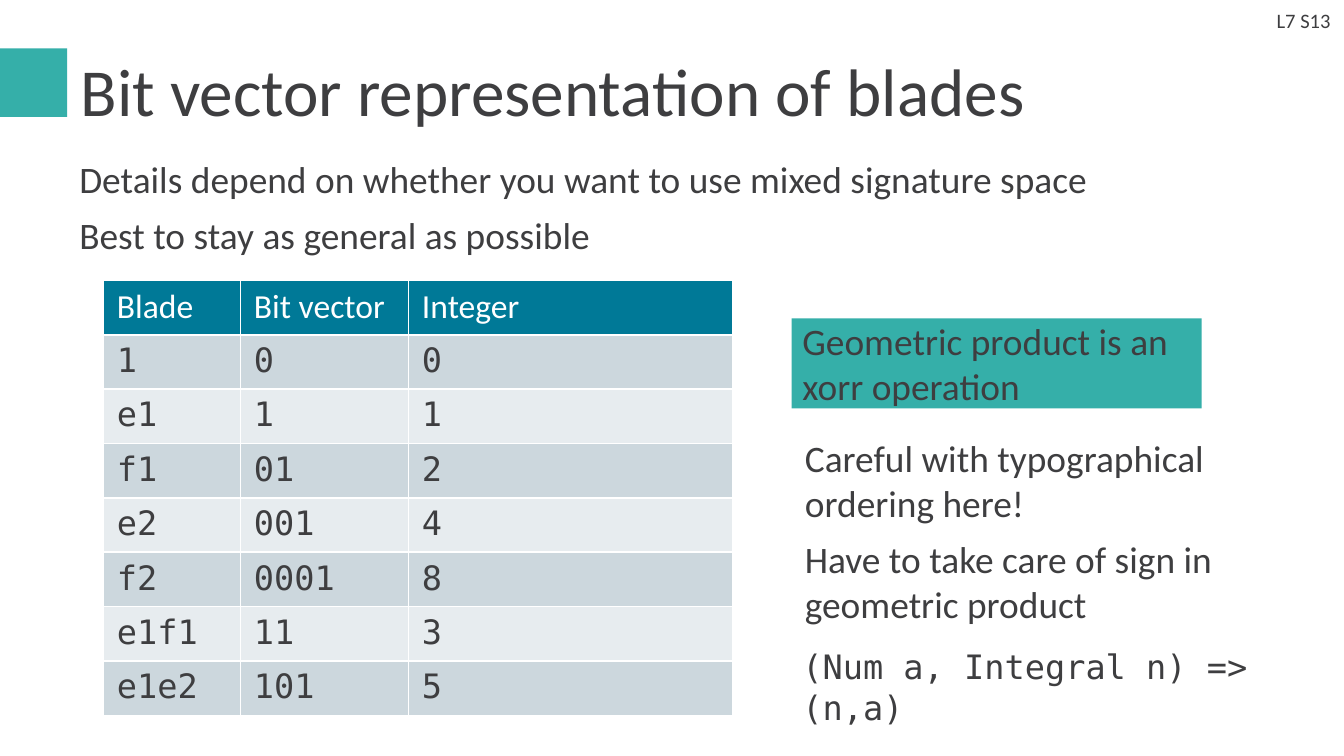
from dataclasses import dataclass

from lxml.etree import SubElement
from pptx import Presentation
from pptx.dml.color import RGBColor
from pptx.enum.shapes import MSO_SHAPE
from pptx.enum.text import MSO_ANCHOR, MSO_AUTO_SIZE, PP_ALIGN
from pptx.oxml.ns import qn
from pptx.util import Pt

PX = 4572  # 200 px to the inch


@dataclass(frozen=True)
class Theme:
    ink: str = "3E3E40"
    white: str = "FFFFFF"
    teal: str = "35AFA9"
    header: str = "007997"
    bands: tuple = ("CCD7DD", "E7ECEF")
    sans: str = "Calibri"
    mono: str = "DejaVu Sans Mono"
    title_size: int = 36
    body_size: int = 20
    table_size: int = 18
    label_size: int = 11


THEME = Theme()


def paint(fill, color):
    fill.solid()
    fill.fore_color.rgb = RGBColor.from_string(color)


def write(frame, *lines, size=THEME.body_size, font=THEME.sans, color=THEME.ink,
          align=PP_ALIGN.LEFT, after=0):
    """Fill a text frame with one plain, unbulleted paragraph per line."""
    for index, line in enumerate(lines):
        paragraph = frame.add_paragraph() if index else frame.paragraphs[0]
        properties = paragraph._p.get_or_add_pPr()
        properties.set("marL", "0")
        properties.set("indent", "0")
        SubElement(properties, qn("a:buNone"))
        paragraph.alignment = align
        paragraph.space_before = Pt(0)
        paragraph.space_after = Pt(after)
        run = paragraph.add_run()
        run.text = line
        run.font.size = Pt(size)
        run.font.name = font
        run.font.bold = False
        run.font.color.rgb = RGBColor.from_string(color)


class SlideBuilder:
    def __init__(self, presentation, theme):
        self.theme = theme
        self.slide = presentation.slides.add_slide(presentation.slide_layouts[1])

    def place(self, shape, box):
        shape.left, shape.top, shape.width, shape.height = (value * PX for value in box)

    def frame(self, shape, insets, anchor=MSO_ANCHOR.TOP):
        frame = shape.text_frame
        frame.word_wrap = True
        frame.auto_size = MSO_AUTO_SIZE.NONE
        frame.vertical_anchor = anchor
        (frame.margin_left, frame.margin_top,
         frame.margin_right, frame.margin_bottom) = (value * PX for value in insets)
        return frame

    def title(self, text, box):
        shape = self.slide.shapes.title
        self.place(shape, box)
        frame = self.frame(shape, (20, 10, 20, 10), MSO_ANCHOR.MIDDLE)
        write(frame, text, size=self.theme.title_size)

    def body(self, lines, box):
        shape = self.slide.placeholders[1]
        self.place(shape, box)
        write(self.frame(shape, (16, 0, 0, 0)), *lines, after=6)

    def text(self, lines, box, insets=(16, 0, 0, 0), **style):
        shape = self.slide.shapes.add_textbox(*(value * PX for value in box))
        write(self.frame(shape, insets), *lines, **style)

    def rectangle(self, box, color, text=None, insets=(16, 0, 0, 0),
                  anchor=MSO_ANCHOR.TOP, **style):
        shape = self.slide.shapes.add_shape(
            MSO_SHAPE.RECTANGLE, *(value * PX for value in box))
        shape.shadow.inherit = False
        paint(shape.fill, color)
        shape.line.fill.background()
        if text:
            write(self.frame(shape, insets, anchor), text, **style)

    def table(self, rows, left, top, widths, row_height):
        theme = self.theme
        table = self.slide.shapes.add_table(
            len(rows), len(widths), left * PX, top * PX,
            sum(widths) * PX, len(rows) * row_height * PX).table
        for column, width in zip(table.columns, widths):
            column.width = width * PX
        for row_index, values in enumerate(rows):
            if row_index == 0:
                fill, font, color = theme.header, theme.sans, theme.white
            else:
                fill, font, color = theme.bands[(row_index - 1) % 2], theme.mono, theme.ink
            for column_index, value in enumerate(values):
                cell = table.cell(row_index, column_index)
                paint(cell.fill, fill)
                write(cell.text_frame, value, size=theme.table_size, font=font, color=color)


BLADES = [
    ("Blade", "Bit vector", "Integer"),
    ("1", "0", "0"),
    ("e1", "1", "1"),
    ("f1", "01", "2"),
    ("e2", "001", "4"),
    ("f2", "0001", "8"),
    ("e1f1", "11", "3"),
    ("e1e2", "101", "5"),
]


def main():
    presentation = Presentation()
    presentation.slide_width = 2000 * PX
    presentation.slide_height = 1125 * PX

    builder = SlideBuilder(presentation, THEME)
    builder.rectangle((0, 72, 100, 102), THEME.teal)
    builder.title("Bit vector representation of blades", (100, 62, 1800, 142))
    builder.rectangle((1534, 0, 466, 60), THEME.white, "L7 S13", insets=(20, 10, 20, 10),
                      anchor=MSO_ANCHOR.MIDDLE, size=THEME.label_size, align=PP_ALIGN.RIGHT)
    builder.body(["Details depend on whether you want to use mixed signature space",
                  "Best to stay as general as possible"], (102, 232, 1702, 152))
    builder.table(BLADES, 154, 417, widths=(204, 250, 482), row_height=81)
    builder.rectangle((1178, 474, 610, 134), THEME.teal,
                      "Geometric product is an xorr operation", after=6)
    builder.text(["Careful with typographical ordering here!",
                  "Have to take care of sign in geometric product"],
                 (1178, 638, 650, 390), insets=(20, 10, 20, 10), after=6)
    builder.text(["(Num a, Integral n) => (n,a)"], (1178, 962, 792, 60),
                 size=THEME.table_size, font=THEME.mono, after=6)
    presentation.save("out.pptx")


if __name__ == "__main__":
    main()
